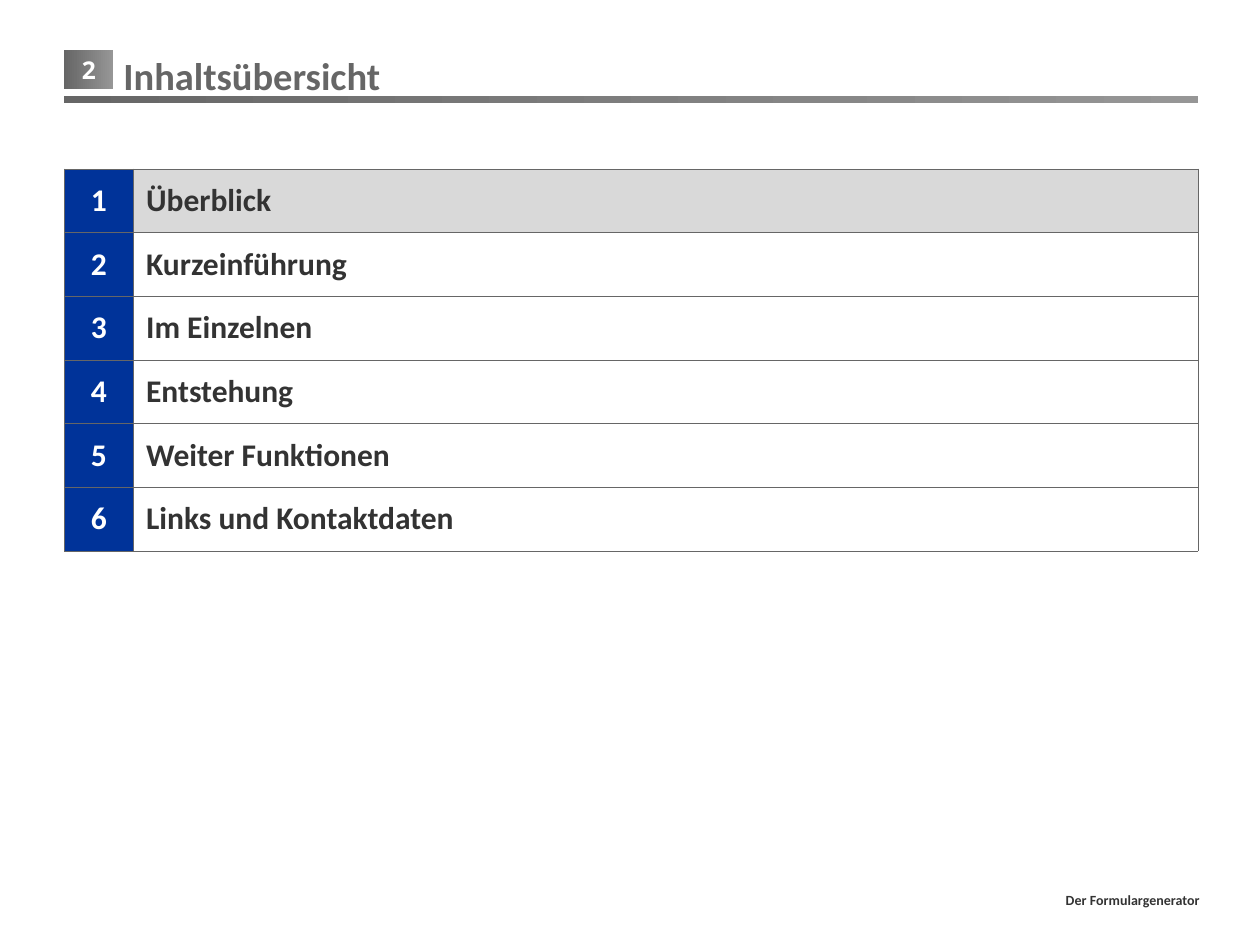
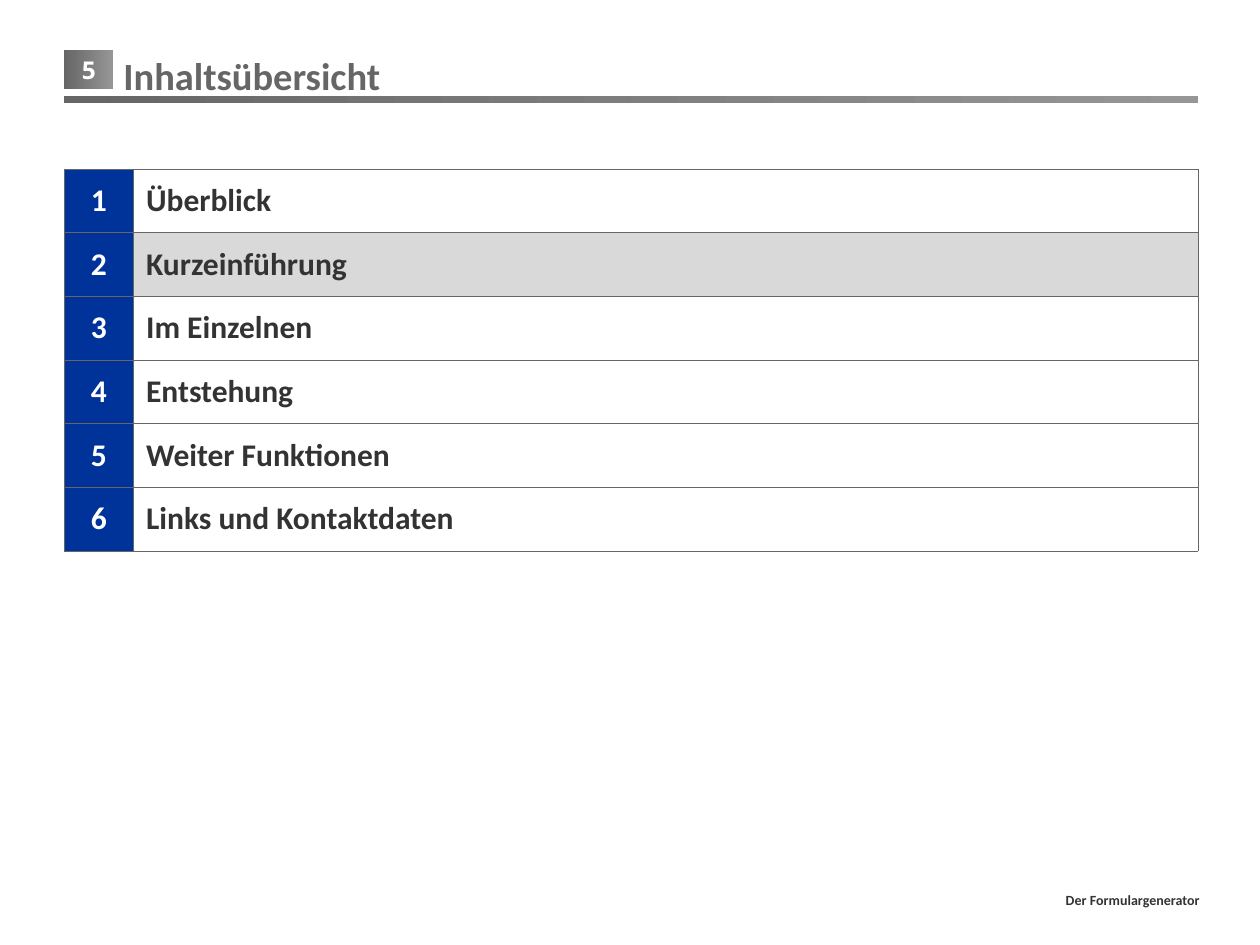
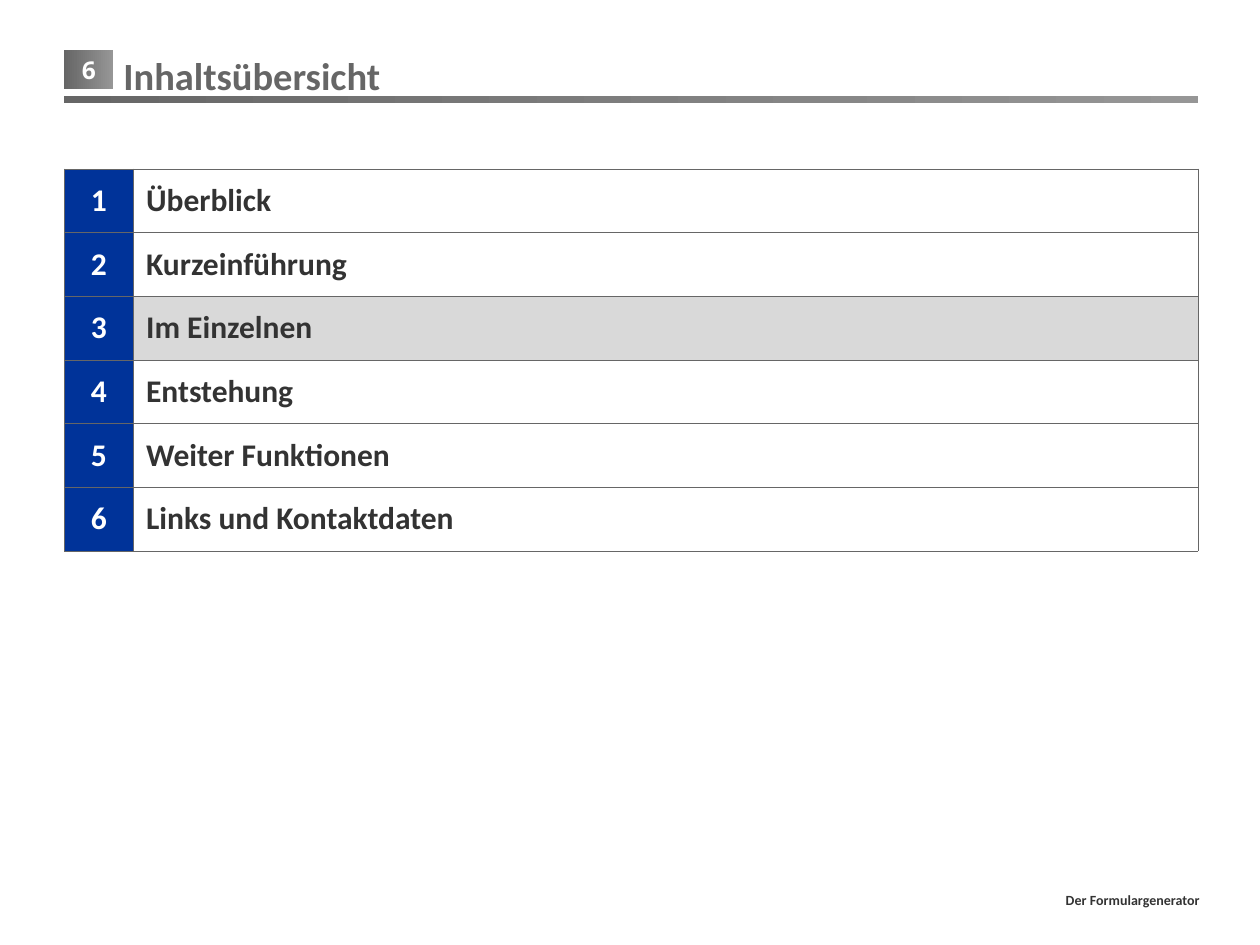
from dataclasses import dataclass

from lxml import etree
from pptx import Presentation
from pptx.dml.color import RGBColor
from pptx.enum import shapes, text
from pptx.oxml import ns
from pptx.util import Inches, Pt


@dataclass(frozen=True)
class Theme:
    grey: str = "666666"
    light_grey: str = "969696"
    ink: str = "333333"
    white: str = "FFFFFF"
    blue: str = "003399"
    highlight: str = "D9D9D9"
    body_font: str = "Calibri"
    number_font: str = "Open Sans"
    title_size: int = 22
    chapter_size: int = 18
    number_size: int = 14
    footer_size: int = 8
    border_width: float = 0.25


theme = Theme()
MARGIN = Inches(0.51)
CONTENT_WIDTH = Inches(9)
NUMBER_WIDTH = Inches(0.55)
ROW_HEIGHT = Inches(0.5)
CHAPTERS = ["Überblick", "Kurzeinführung", "Im Einzelnen",
            "Entstehung", "Weiter Funktionen", "Links und Kontaktdaten"]
AGENDA_PAGES = [(2, "Überblick"), (5, "Kurzeinführung"), (6, "Im Einzelnen")]


def write(frame, words, size, color, align=text.PP_ALIGN.LEFT, font=theme.body_font):
    frame.text = words
    frame.word_wrap = True
    paragraph = frame.paragraphs[0]
    paragraph.alignment = align
    paragraph.font.name = font
    paragraph.font.size = Pt(size)
    paragraph.font.bold = True
    paragraph.font.color.rgb = RGBColor.from_string(color)


def add_band(slide, left, top, width, height):
    band = slide.shapes.add_shape(shapes.MSO_SHAPE.RECTANGLE, left, top, width, height)
    band.shadow.inherit = False
    band.line.fill.background()
    band.fill.gradient()
    band.fill.gradient_angle = 0
    for stop, color in zip(band.fill.gradient_stops, (theme.grey, theme.light_grey)):
        stop.color.rgb = RGBColor.from_string(color)
    return band


prs = Presentation()
prs.slide_width, prs.slide_height = Inches(10), Inches(7.5)

for page, current in AGENDA_PAGES:
    slide = prs.slides.add_slide(prs.slide_layouts[5])

    title = slide.shapes.title
    title.left, title.top = Inches(0.88), Inches(0.36)
    title.width, title.height = Inches(8.67), Inches(0.47)
    write(title.text_frame, "Inhaltsübersicht", theme.title_size, theme.grey)
    title.text_frame.auto_size = text.MSO_AUTO_SIZE.NONE
    title.text_frame.vertical_anchor = text.MSO_ANCHOR.MIDDLE

    page_number = add_band(slide, MARGIN, Inches(0.4), Inches(0.39), Inches(0.31))
    write(page_number.text_frame, str(page), theme.number_size, theme.white,
          text.PP_ALIGN.CENTER, theme.number_font)
    page_number.text_frame.word_wrap = False
    add_band(slide, MARGIN, Inches(0.76), CONTENT_WIDTH, Inches(0.06))

    footer = slide.shapes.add_shape(shapes.MSO_SHAPE.ROUNDED_RECTANGLE,
                                    Inches(1.15), Inches(6.96), Inches(8.49), Inches(0.36))
    footer.shadow.inherit = False
    footer.fill.background()
    footer.line.fill.background()
    write(footer.text_frame, "Der Formulargenerator", theme.footer_size, theme.ink,
          text.PP_ALIGN.RIGHT)

    agenda = slide.shapes.add_table(len(CHAPTERS), 2, MARGIN, Inches(1.34), CONTENT_WIDTH,
                                    ROW_HEIGHT * len(CHAPTERS)).table
    agenda.first_row = agenda.horz_banding = False
    agenda.columns[0].width = NUMBER_WIDTH
    agenda.columns[1].width = CONTENT_WIDTH - NUMBER_WIDTH

    for row, chapter in enumerate(CHAPTERS):
        number_cell, chapter_cell = agenda.cell(row, 0), agenda.cell(row, 1)
        write(number_cell.text_frame, str(row + 1), theme.chapter_size, theme.white,
              text.PP_ALIGN.CENTER)
        write(chapter_cell.text_frame, chapter, theme.chapter_size, theme.ink)
        chapter_fill = theme.highlight if chapter == current else theme.white

        for cell, color in ((number_cell, theme.blue), (chapter_cell, chapter_fill)):
            cell.margin_left = cell.margin_right = Inches(0.1)
            cell.margin_top = cell.margin_bottom = Inches(0.1)
            properties = cell._tc.get_or_add_tcPr()
            for side in ("a:lnL", "a:lnR", "a:lnT", "a:lnB"):
                border = etree.SubElement(properties, ns.qn(side),
                                          w=str(Pt(theme.border_width)))
                border_fill = etree.SubElement(border, ns.qn("a:solidFill"))
                etree.SubElement(border_fill, ns.qn("a:srgbClr"), val=theme.grey)
            cell.fill.solid()
            cell.fill.fore_color.rgb = RGBColor.from_string(color)

prs.save("out.pptx")
